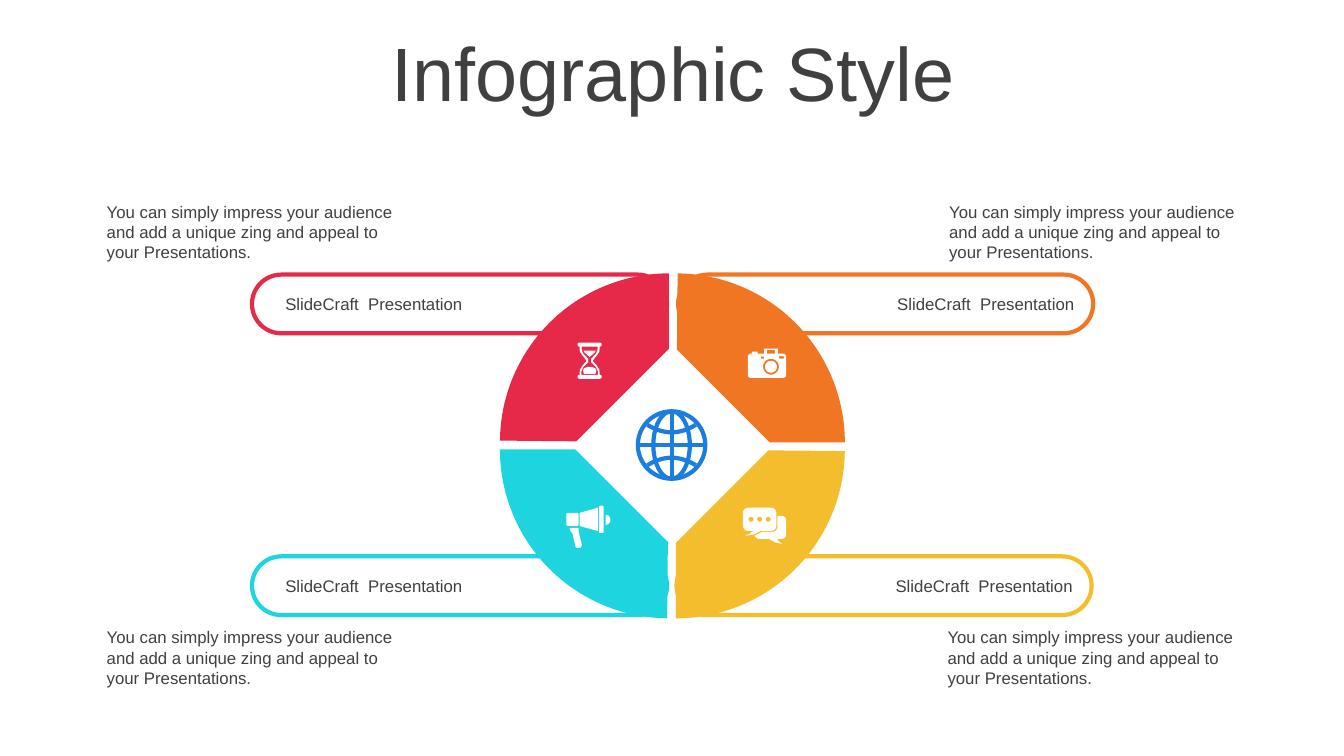
from dataclasses import dataclass
from math import cos, pi, sin

from pptx import Presentation
from pptx import util as u
from pptx.dml.color import RGBColor
from pptx.enum import shapes, text
from pptx.oxml.ns import qn
from lxml import etree


@dataclass(frozen=True)
class Theme:
    font: str = "Arial"
    ink: str = "404040"
    white: str = "FFFFFF"
    red: str = "E62949"
    orange: str = "F07624"
    teal: str = "1ED4DE"
    yellow: str = "F4BD2D"
    blue: str = "1C7DE1"
    title_size: int = 54
    body_size: int = 12
    stroke: float = 3


T = Theme()
LABEL = "SlideCraft  Presentation"
BLURB = ("You can simply impress your audience and add a unique zing "
         "and appeal to your Presentations.")


# ---- Basic parts ----
def rgb(colour):
    return RGBColor.from_string(colour)


def style(s, fill=None, line=None):
    s.shadow.inherit = False
    if fill:
        s.fill.solid()
        s.fill.fore_color.rgb = rgb(fill)
    else:
        s.fill.background()
    if line:
        s.line.color.rgb = rgb(line)
        s.line.width = u.Pt(T.stroke)
    else:
        s.line.fill.background()


def add_shape(sl, kind, box, **look):
    s = sl.shapes.add_shape(kind, *(u.Cm(v) for v in box))
    style(s, **look)
    return s


def add_text(sl, box, words, size, frame, para):
    tf = sl.shapes.add_textbox(*(u.Cm(v) for v in box)).text_frame
    p = tf.paragraphs[0]
    r = p.add_run()
    r.text = words
    font = {"name": T.font, "size": u.Pt(size)}
    for target, values in ((tf, {"word_wrap": True, **frame}), (p, para), (r.font, font)):
        for name, value in values.items():
            setattr(target, name, value)
    r.font.color.rgb = rgb(T.ink)


# ---- Outlines in millimetres ----
def arc(cx, cy, rx, ry=None, start=0, sweep=360, steps=36):
    ry = ry or rx
    angles = [(start + sweep * i / steps) * pi / 180 for i in range(steps + 1)]
    return [(cx + rx * cos(a), cy + ry * sin(a)) for a in angles]


def block(x0, y0, x1, y1, r=0.0):
    if not r:
        return [(x0, y0), (x1, y0), (x1, y1), (x0, y1)]
    corners = ((x1 - r, y1 - r), (x0 + r, y1 - r), (x0 + r, y0 + r), (x1 - r, y0 + r))
    return [pt for i, (x, y) in enumerate(corners)
            for pt in arc(x, y, r, start=90 * i, sweep=90, steps=8)]


def mirrored(axis, points):
    return points + [(2 * axis - x, y) for x, y in reversed(points)]


def draw(sl, x, y, outlines, closed=True, **look):
    """Overlapping outlines cut holes; x and y are in centimetres."""
    fine = [[(px * 1000, py * 1000) for px, py in o] for o in outlines]
    fb = sl.shapes.build_freeform(*fine[0][0], scale=u.Cm(0.0001))
    for i, o in enumerate(fine):
        if i:
            fb.move_to(*o[0])
        fb.add_line_segments(o[1:], close=closed)
    style(fb.convert_to_shape(u.Cm(x), u.Cm(y)), **look)


HOURGLASS = [
    block(0, 0, 6.1, 1, 0.49), block(0, 8.1, 6.1, 9.1, 0.49),
    mirrored(3.05, [(5.6, 1), (5.5, 2.3), (4.8, 3.3), (3.8, 4.57),
                    (4.8, 5.7), (5.5, 6.8), (5.6, 8.1)]),
    mirrored(3.05, [(5.1, 1), (5, 2), (4.6, 2.8), (3.4, 4.1), (3.4, 4.9),
                    (4.6, 6.1), (5.1, 7.2), (5.1, 8.1)]),
    mirrored(3.05, [(4.6, 2), (4.3, 2.5), (3.05, 3.6)]),
    mirrored(3.05, [(3.6, 6.1), (4.5, 6.5), (4.7, 7), (4.5, 7.9)]),
]
CAMERA = [
    block(0, 1.27, 9.65, 7.4, 0.8), block(1, 0.75, 2.5, 1.27),
    block(4.1, 0, 7.6, 1.27), block(4.8, 0.3, 6.85, 1.27),
    block(3.3, 2, 4.1, 2.5), block(7.9, 1.9, 9.1, 2.5),
    arc(5.84, 4.57, 2), arc(5.84, 4.57, 1.5),
]
MEGAPHONE = [
    block(0, 1.8, 3.05, 5.1, 0.4),
    [(3.3, 1.8), (7.9, 0.5), (7.9, 6.35), (3.3, 5.1)],
    block(8.2, 0, 9.4, 6.86, 0.3),
    arc(9.9, 3.55, 1.2, 1.25, -90, 180),
    [(0.8, 5.6), (3.05, 5.6), (3.05, 6.35), (3.9, 9.9), (3.6, 10.5),
     (2.6, 10.7), (2.3, 10.4), (1.5, 6.9), (1, 6.35)],
]
CHAT = [
    block(0, 0, 8.4, 5.84, 1.3),
    *(arc(2.03 + 2.16 * i, 2.9, 0.63) for i in range(3)),
    [(2.5, 5.84), (4.4, 5.84), (2.8, 6.7), (0.5, 7.1), (1.8, 6.5)],
    [(8.64, 2.03), *arc(9.7, 3.23, 1.2, start=-90, sweep=90, steps=8),
     *arc(9.7, 6.67, 1.2, sweep=90, steps=8), (8.64, 7.87), (9, 8.5), (9.9, 9.1),
     (8.3, 8.8), (6.6, 7.87), (3.8, 7.87), (2.8, 7.1), (4.8, 6.1),
     (7.6, 6.1), (8.3, 5.8), (8.64, 5.1)],
]


# ---- Regions ----
def title(sl, box):
    add_text(sl, box, "Infographic Style", T.title_size,
             {"vertical_anchor": text.MSO_ANCHOR.MIDDLE},
             {"alignment": text.PP_ALIGN.CENTER, "line_spacing": 0.9})


def card(sl, box, colour, right, below):
    x, y, w, h = box
    pill = add_shape(sl, shapes.MSO_SHAPE.ROUNDED_RECTANGLE, box, fill=T.white, line=colour)
    pill.adjustments[0] = 0.5
    grow = {"auto_size": text.MSO_AUTO_SIZE.SHAPE_TO_FIT_TEXT}
    add_text(sl, (x + (4.88 if right else 0.2), y + 0.36, 5.36, 0.77), LABEL, T.body_size,
             {**grow, "vertical_anchor": text.MSO_ANCHOR.MIDDLE},
             {"alignment": text.PP_ALIGN.RIGHT})
    add_text(sl, (x + (6.58 if right else -3.91), y + (1.66 if below else -1.97), 7.77, 1.8),
             BLURB, T.body_size, grow, {})


def globe(sl, cx, cy):
    r = 0.85
    for rx in (r, 0.46):
        add_shape(sl, shapes.MSO_SHAPE.OVAL, (cx - rx, cy - r, 2 * rx, 2 * r), line=T.blue)
    for dx, dy in ((r, 0), (0, r)):
        c = sl.shapes.add_connector(shapes.MSO_CONNECTOR.STRAIGHT, *(
            u.Cm(v) for v in (cx - dx, cy - dy, cx + dx, cy + dy)))
        c.line.color.rgb = rgb(T.blue)
        c.line.width = u.Pt(T.stroke)
        etree.SubElement(c._element.spPr, qn("a:effectLst"))
    xs = [6.1 * i / 10 for i in range(-10, 11)]
    parallels = [[(x, side * (3.2 + 1.9 * (x / 6.1) ** 2)) for x in xs] for side in (-1, 1)]
    draw(sl, cx, cy, parallels, closed=False, line=T.blue)


def wheel(sl, box, quarters):
    x, y, d = box
    gap, side = 0.09, 3.58
    cx, cy = x + d / 2, y + d / 2
    for colour, sx, sy, turn, _, _ in quarters:
        pie = add_shape(sl, shapes.MSO_SHAPE.PIE, (x + sx * gap, y + sy * gap, d, d), fill=colour)
        pie.adjustments[0], pie.adjustments[1] = 108.335, 162
        pie.rotation = turn
    diamond = add_shape(sl, shapes.MSO_SHAPE.RECTANGLE,
                        (cx - side / 2, cy - side / 2, side, side), fill=T.white)
    diamond.rotation = 45
    for *_, icon, (dx, dy) in quarters:
        draw(sl, cx + dx, cy + dy, icon, fill=T.white)
    globe(sl, cx - 0.02, cy - 0.02)


def main():
    prs = Presentation()
    prs.slide_width, prs.slide_height = u.Cm(33.87), u.Cm(19.05)
    sl = prs.slides.add_slide(prs.slide_layouts[6])
    title(sl, (0.89, 0.94, 32.16, 2.01))

    # Colour, side across, side down, turn, icon, icon offset from the centre
    quarters = [
        (T.orange, 1, -1, 90, CAMERA, (1.9, -2.45)),
        (T.yellow, 1, 1, 180, CHAT, (1.78, 1.56)),
        (T.teal, -1, 1, 270, MEGAPHONE, (-2.67, 1.51)),
        (T.red, -1, -1, 0, HOURGLASS, (-2.39, -2.6)),
    ]
    for colour, sx, sy, *_ in quarters:
        x = 6.35 if sx < 0 else 17.07 - 0.02 * sy
        card(sl, (x, 6.92 if sy < 0 else 14.02, 10.46, 1.48), colour, sx > 0, sy > 0)
    wheel(sl, (12.69, 6.98, 8.51), quarters)
    prs.save("out.pptx")


if __name__ == "__main__":
    main()
